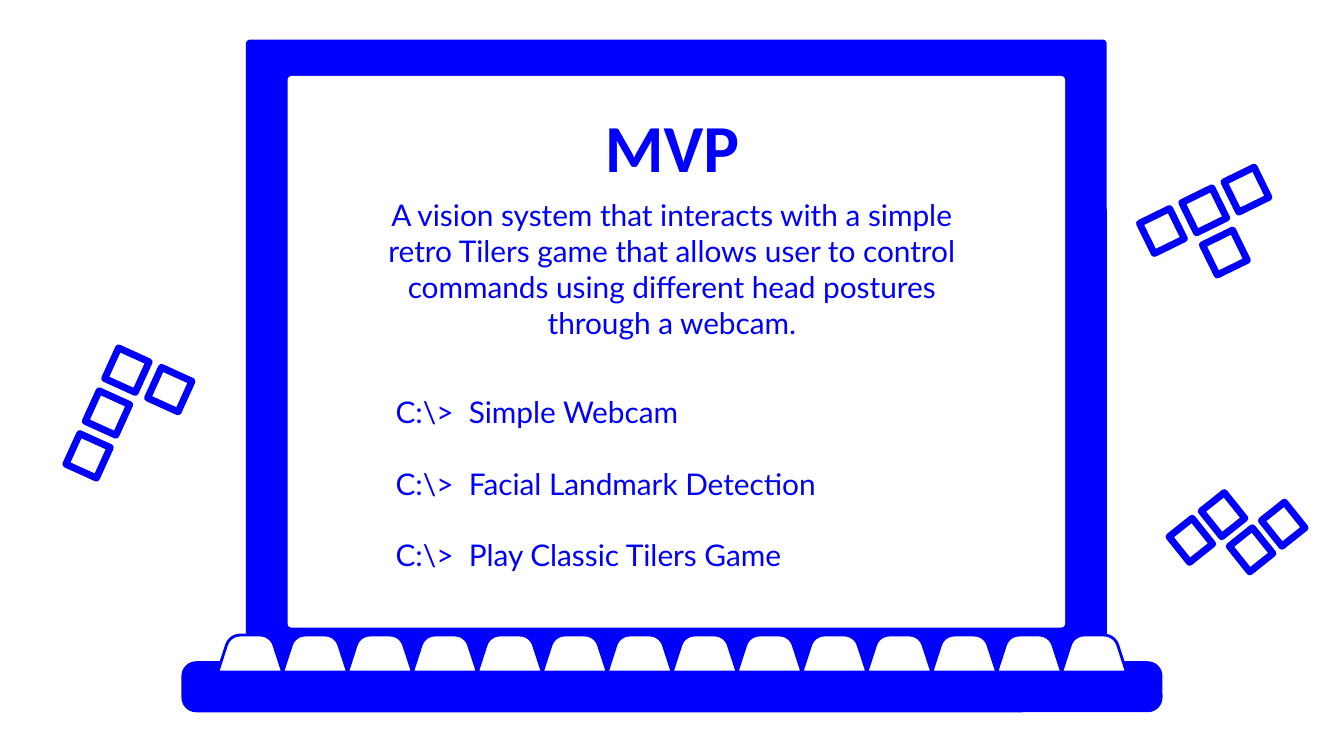
from math import cos, radians, sin

from lxml.etree import SubElement
from pptx import Presentation
from pptx.dml.color import RGBColor
from pptx.enum.shapes import MSO_SHAPE
from pptx.enum.text import MSO_ANCHOR, PP_ALIGN
from pptx.oxml.ns import qn
from pptx.util import Inches, Pt

COLORS = {"blue": "0000FE", "white": "FFFFFF"}

# Square grid: 100 columns across the slide, 56.25 rows down
SLIDE_W = Inches(10)
SLIDE_H = SLIDE_W * 9 // 16
UNIT = SLIDE_W // 100

KEY_COUNT = 14
KEY_PITCH = 4.83
KEY_LEFT, KEY_TOP = 16.2, 47.25
KEY_HEIGHT, KEY_SLOPE = 2.75, 0.65

# Game pieces: centre of cell (0, 0), rotation, block size, cell pitch, cells
PIECES = [
    ((9.45, 27.55), 24.4, (2.5, 2.5), (3.5, 3.5),
     [(0, 0), (1, 0), (0, 1), (0, 2)]),
    ((89.6, 15.65), -26.1, (2.5, 2.5), (3.5, 3.5),
     [(-1, 0), (0, 0), (1, 0), (0, 1)]),
    ((91, 38.3), -38.6, (2.2, 2.45), (3.06, 3.35),
     [(-1, 0), (0, 0), (0, 1), (1, 1)]),
]

SUMMARY = ("A vision system that interacts with a simple retro Tilers game "
           "that allows user to control commands using different head "
           "postures through a webcam.")
FEATURES = ["Simple Webcam", "Facial Landmark Detection",
            "Play Classic Tilers Game"]


def grid(*values):
    return [round(v * UNIT) for v in values]


def color(name):
    return RGBColor.from_string(COLORS[name])


def paint(sp, fill=None, line=None, weight=1.5):
    sp.shadow.inherit = False
    if fill:
        sp.fill.solid()
        sp.fill.fore_color.rgb = color(fill)
    else:
        sp.fill.background()
    if line:
        sp.line.color.rgb = color(line)
        sp.line.width = Pt(weight)
        SubElement(sp.line._get_or_add_ln(), qn("a:round"))
    else:
        sp.line.fill.background()


def add_panel(slide, box, radius, fill):
    sp = slide.shapes.add_shape(MSO_SHAPE.ROUNDED_RECTANGLE, *grid(*box))
    sp.adjustments[0] = radius / min(box[2:])
    paint(sp, fill)


def add_piece(slide, origin, angle, size, pitch, cells):
    c, s = cos(radians(angle)), sin(radians(angle))
    w, h = size
    for col, row in cells:
        dx, dy = col * pitch[0], row * pitch[1]
        x = origin[0] + dx * c - dy * s
        y = origin[1] + dx * s + dy * c
        sp = slide.shapes.add_shape(
            MSO_SHAPE.RECTANGLE, *grid(x - w / 2, y - h / 2, w, h))
        sp.rotation = angle
        paint(sp, line="blue", weight=3.75)


def key_corner(steps=8):
    """Points of the rounded top left corner, measured from the key's left."""
    bezier = [(KEY_SLOPE, 0.75), (0.8, 0.3), (1.2, 0), (1.7, 0)]
    points = []
    for i in range(steps + 1):
        t = i / steps
        weights = [(1 - t) ** 3, 3 * t * (1 - t) ** 2,
                   3 * t * t * (1 - t), t ** 3]
        points.append(tuple(sum(k * p[axis] for k, p in zip(weights, bezier))
                            for axis in (0, 1)))
    return points


def add_key(slide, left):
    corner = key_corner()
    mirrored = [(KEY_PITCH - x, y) for x, y in reversed(corner)]
    outline = [(0, KEY_HEIGHT), *corner, *mirrored, (KEY_PITCH, KEY_HEIGHT)]
    points = [grid(left + x, KEY_TOP + y) for x, y in outline]
    builder = slide.shapes.build_freeform(*points[0])
    builder.add_line_segments(points[1:], close=True)
    paint(builder.convert_to_shape(), "white", "blue")


def add_text(slide, box, lines, size, font="Lato", bold=False,
             align=PP_ALIGN.LEFT, anchor=MSO_ANCHOR.TOP, gap=0, hang=0):
    tf = slide.shapes.add_textbox(*grid(*box)).text_frame
    tf.word_wrap = True
    tf.vertical_anchor = anchor
    tf.margin_left = tf.margin_right = UNIT
    tf.margin_top = tf.margin_bottom = UNIT
    for i, line in enumerate(lines):
        p = tf.paragraphs[0] if i == 0 else tf.add_paragraph()
        p.text = line
        p.alignment = align
        p.font.name = font
        p.font.size = Pt(size)
        p.font.bold = bold
        p.font.color.rgb = color("blue")
        if i:
            p.space_before = Pt(gap)
        if hang:
            indent, = grid(hang)
            pPr = p._p.get_or_add_pPr()
            pPr.set("marL", str(indent))
            pPr.set("indent", str(-indent))


def main():
    prs = Presentation()
    prs.slide_width, prs.slide_height = SLIDE_W, SLIDE_H
    slide = prs.slides.add_slide(prs.slide_layouts[6])

    # Falling blocks around the laptop
    for piece in PIECES:
        add_piece(slide, *piece)

    # Laptop: lid, screen, base and keys
    add_panel(slide, (18.3, 2.95, 64.05, 46.4), 0.3, "blue")
    add_panel(slide, (21.4, 5.65, 57.85, 41.05), 0.3, "white")
    add_panel(slide, (13.5, 49.2, 73, 3.8), 1.1, "blue")
    for i in range(KEY_COUNT):
        add_key(slide, KEY_LEFT + i * KEY_PITCH)

    # Text on the screen
    add_text(slide, (27.9, 6.7, 44.2, 8.3), ["MVP"], 36, "Calibri", True,
             PP_ALIGN.CENTER, MSO_ANCHOR.MIDDLE)
    add_text(slide, (27.9, 13.65, 44.2, 30.2), [SUMMARY], 16,
             align=PP_ALIGN.CENTER)
    add_text(slide, (28.45, 28.3, 44.2, 16.1),
             [f"C:\\>\t{feature}" for feature in FEATURES], 16,
             gap=19.2, hang=5.45)

    prs.save("out.pptx")


if __name__ == "__main__":
    main()
